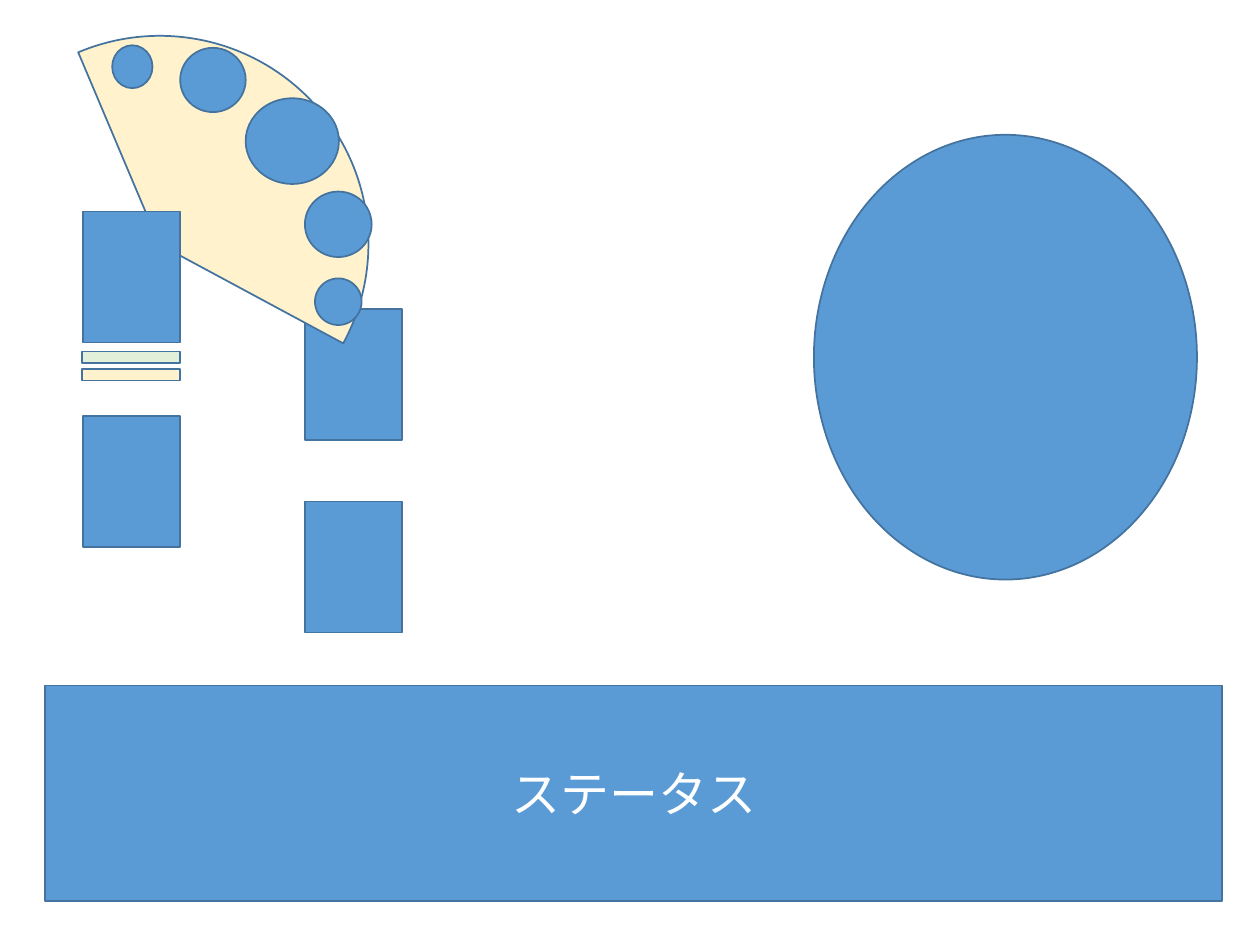
from dataclasses import dataclass
from pptx import Presentation, util as u
from pptx.dml.color import RGBColor
from pptx.enum import shapes, text

KIND = shapes.MSO_SHAPE


@dataclass(frozen=True)
class Theme:
    """Colours, type and grid of the slide."""
    blue: str = "5B9BD5"
    edge: str = "43739E"
    cream: str = "FFF2CC"
    green: str = "E2F0D9"
    white: str = "FFFFFF"
    font: str = "Calibri"
    size: int = 28
    line: int = 1
    cols: int = 100
    rows: int = 75


LOOK = Theme()
deck = Presentation()
deck.slide_width, deck.slide_height = u.Inches(10), u.Inches(7.5)
slide = deck.slides.add_slide(deck.slide_layouts[6])
COL = deck.slide_width / LOOK.cols
ROW = deck.slide_height / LOOK.rows


def draw(kind, box, fill=LOOK.blue):
    """Draw an outlined shape in a box of grid columns and rows."""
    left, top, wide, high = box
    shape = slide.shapes.add_shape(
        kind, round(left * COL), round(top * ROW),
        round(wide * COL), round(high * ROW))
    shape.shadow.inherit = False
    shape.fill.solid()
    shape.fill.fore_color.rgb = RGBColor.from_string(fill)
    shape.line.color.rgb = RGBColor.from_string(LOOK.edge)
    shape.line.width = u.Pt(LOOK.line)
    return shape


def write(shape, words, size=LOOK.size, color=LOOK.white, font=LOOK.font,
          align=text.PP_ALIGN.CENTER, anchor=text.MSO_ANCHOR.MIDDLE):
    """Write formatted words into a shape."""
    frame = shape.text_frame
    frame.word_wrap = True
    frame.vertical_anchor = anchor
    para = frame.paragraphs[0]
    para.alignment = align
    run = para.add_run()
    run.text = words
    run.font.size = u.Pt(size)
    run.font.name = font
    run.font.color.rgb = RGBColor.from_string(color)


def stack(box, step, count=2):
    """Place equal cards down a column, starting at the box."""
    left, top, wide, high = box
    for row in range(count):
        draw(KIND.RECTANGLE, (left, top + row * step, wide, high))


def fan(box):
    """Place a turned sector with discs along its rim."""
    left, top = box[:2]
    pie = draw(KIND.PIE, box, LOOK.cream)
    pie.adjustments[0], pie.adjustments[1] = 0, 84.713
    pie.rotation = 247.1
    discs = ((23.4, 5, 7.4, 6.8), (28.1, 12.4, 5.3, 5.2), (18.2, 1, 5.2, 5.1),
             (12.8, 0.8, 3.2, 3.4), (28.9, 19.3, 3.7, 3.7))
    for across, down, wide, high in discs:
        draw(KIND.OVAL, (left + across, top + down, wide, high))


def bars(box, step):
    """Place the thin green and cream bars, starting at the box."""
    left, top, wide, high = box
    for row, fill in enumerate((LOOK.green, LOOK.cream)):
        draw(KIND.RECTANGLE, (left, top + row * step, wide, high), fill)


def status(box):
    """Place the status panel."""
    write(draw(KIND.RECTANGLE, box), "ステータス")


stack((24.2, 24.5, 7.7, 10.4), 15.3)
fan((-3.9, 2.8, 33.1, 33.2))
status((3.6, 54.4, 93.4, 17.1))
stack((6.6, 16.8, 7.7, 10.4), 16.2)
draw(KIND.OVAL, (64.6, 10.7, 30.4, 35.3))
bars((6.5, 27.9, 7.8, 0.9), 1.4)
deck.save("out.pptx")
